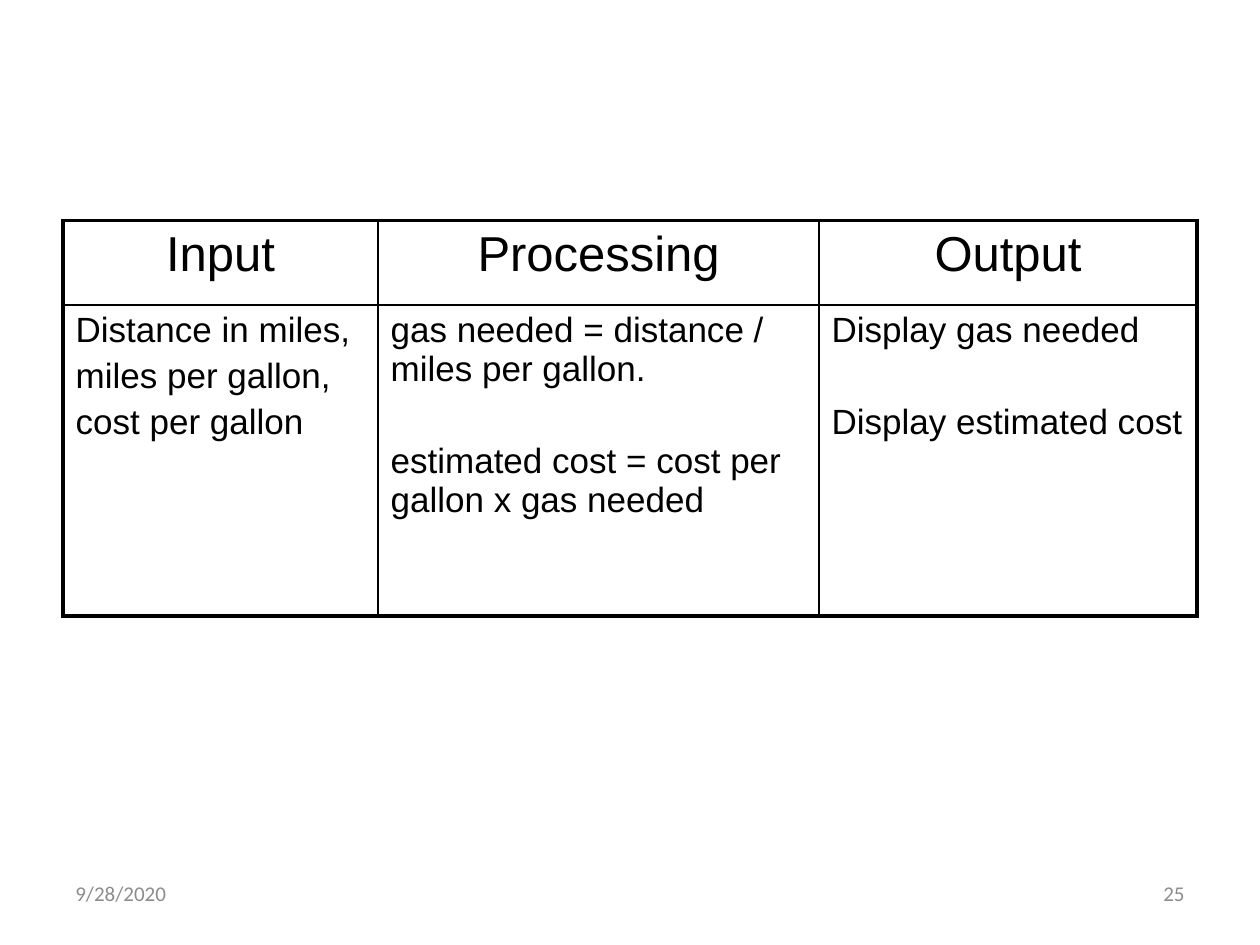
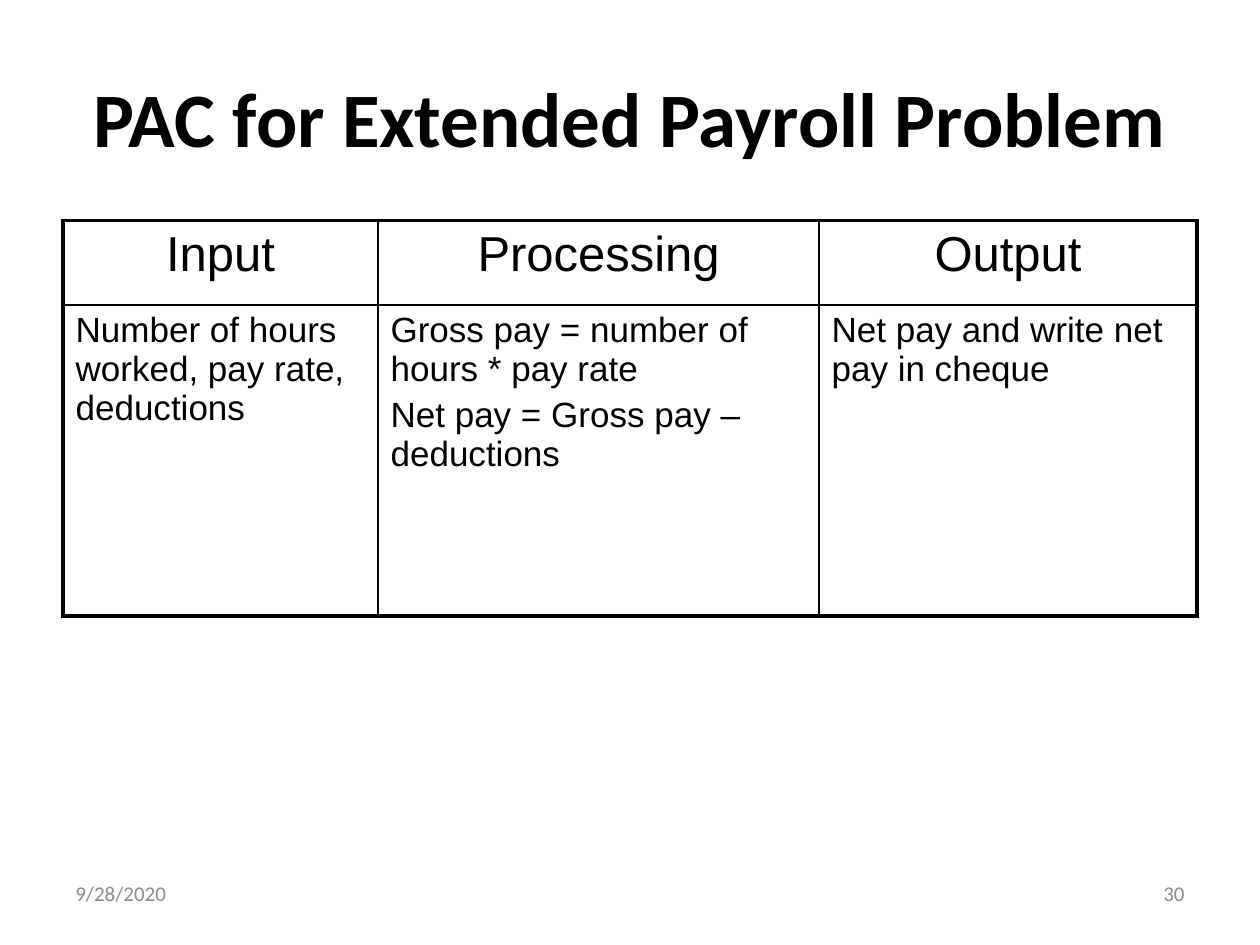
from dataclasses import dataclass

from lxml.etree import SubElement
from pptx import Presentation
from pptx.dml.color import RGBColor
from pptx.enum.text import MSO_ANCHOR, PP_ALIGN
from pptx.oxml.ns import qn
from pptx.util import Emu, Pt

EMU_PER_PX = 9144
COLORS = {"text": "000000", "border": "000000", "footer": "8C8C8C", "cell": "FFFFFF"}
FONTS = {
    "title": {"name": "Calibri", "size": Pt(44), "bold": True},
    "footer": {"name": "Calibri", "size": Pt(12), "bold": False},
    "head": {"name": "Arial", "size": Pt(28), "bold": False},
    "body": {"name": "Arial", "size": Pt(20), "bold": False},
}
HEADERS = ("Input", "Processing", "Output")
COL_WIDTHS = (250, 350, 300)
ROW_HEIGHTS = (67, 247)
OUTER, INNER = 2.25, 1
LINE_GAP, BLOCK_GAP = 4, 30


@dataclass(frozen=True)
class Box:
    """Position and size in px."""
    x: int
    y: int
    w: int
    h: int


@dataclass(frozen=True)
class Entry:
    """Paragraphs of a body cell and the gap between them in points."""
    lines: tuple[str, ...]
    gap: int = LINE_GAP


@dataclass(frozen=True)
class Chart:
    """A problem analysis chart on one slide."""
    number: int
    entries: tuple[Entry, ...]
    title: str = ""


TITLE = Box(50, 30, 900, 125)
TABLE = Box(50, 175, sum(COL_WIDTHS), sum(ROW_HEIGHTS))
DATE = Box(50, 683, 233, 52)
NUMBER = Box(717, 683, 233, 52)

CHARTS = (
    Chart(25, (
        Entry(("Distance in miles,", "miles per gallon,", "cost per gallon")),
        Entry(("gas needed = distance / miles per gallon.",
               "estimated cost = cost per gallon x gas needed"), BLOCK_GAP),
        Entry(("Display gas needed", "Display estimated cost"), BLOCK_GAP),
    )),
    Chart(30, (
        Entry(("Number of hours worked, pay rate, deductions",)),
        Entry(("Gross pay = number of hours * pay rate",
               "Net pay = Gross pay – deductions")),
        Entry(("Net pay and write net pay in cheque",)),
    ), "PAC for Extended Payroll Problem"),
)


def px(n: int) -> Emu:
    """Turn px into EMU."""
    return Emu(n * EMU_PER_PX)


def place(box: Box) -> tuple[Emu, ...]:
    """Give a box as left, top, width and height."""
    return tuple(px(n) for n in (box.x, box.y, box.w, box.h))


def write(tf, entry: Entry, font: str, align: PP_ALIGN, color: str = "text") -> None:
    """Fill a text frame with the paragraphs of an entry."""
    for i, line in enumerate(entry.lines):
        p = tf.add_paragraph() if i else tf.paragraphs[0]
        for key, value in {"alignment": align, "space_before": Pt(entry.gap if i else 0)}.items():
            setattr(p, key, value)
        r = p.add_run()
        r.text = line
        for key, value in FONTS[font].items():
            setattr(r.font, key, value)
        r.font.color.rgb = RGBColor.from_string(COLORS[color])


def add_text(s, box: Box, text: str, font: str, align: PP_ALIGN, color: str = "text") -> None:
    """Add a vertically centred text box."""
    tf = s.shapes.add_textbox(*place(box)).text_frame
    for key, value in {"word_wrap": True, "vertical_anchor": MSO_ANCHOR.MIDDLE}.items():
        setattr(tf, key, value)
    write(tf, Entry((text,)), font, align, color)


def set_borders(cell, row: int, col: int) -> None:
    """Draw heavy lines on the table's outside and thin ones inside."""
    outside = {
        "a:lnL": col == 0,
        "a:lnR": col == len(COL_WIDTHS) - 1,
        "a:lnT": row == 0,
        "a:lnB": row == len(ROW_HEIGHTS) - 1,
    }
    tc_pr = cell._tc.get_or_add_tcPr()
    for tag, heavy in outside.items():
        ln = SubElement(tc_pr, qn(tag), w=str(Pt(OUTER if heavy else INNER)))
        fill = SubElement(ln, qn("a:solidFill"))
        SubElement(fill, qn("a:srgbClr"), val=COLORS["border"])


def add_table(s, entries: tuple[Entry, ...]) -> None:
    """Add the input, processing and output table."""
    table = s.shapes.add_table(len(ROW_HEIGHTS), len(COL_WIDTHS), *place(TABLE)).table
    for key in ("first_row", "horz_banding"):
        setattr(table, key, False)
    for col, width in zip(table.columns, COL_WIDTHS):
        col.width = px(width)
    for row, height in zip(table.rows, ROW_HEIGHTS):
        row.height = px(height)
    rows = (
        (tuple(Entry((h,)) for h in HEADERS), "head", PP_ALIGN.CENTER),
        (entries, "body", PP_ALIGN.LEFT),
    )
    for i, (row_entries, font, align) in enumerate(rows):
        for j, entry in enumerate(row_entries):
            cell = table.cell(i, j)
            set_borders(cell, i, j)
            cell.fill.solid()
            cell.fill.fore_color.rgb = RGBColor.from_string(COLORS["cell"])
            write(cell.text_frame, entry, font, align)


def add_slide(prs, chart: Chart) -> None:
    """Add one chart slide with its title and footer."""
    s = prs.slides.add_slide(prs.slide_layouts[6])
    if chart.title:
        add_text(s, TITLE, chart.title, "title", PP_ALIGN.CENTER)
    add_table(s, chart.entries)
    add_text(s, DATE, "9/28/2020", "footer", PP_ALIGN.LEFT, "footer")
    add_text(s, NUMBER, str(chart.number), "footer", PP_ALIGN.RIGHT, "footer")


def main() -> None:
    """Build and save the presentation."""
    prs = Presentation()
    for key, value in {"slide_width": px(1000), "slide_height": px(750)}.items():
        setattr(prs, key, value)
    for chart in CHARTS:
        add_slide(prs, chart)
    prs.save("out.pptx")


if __name__ == "__main__":
    main()
